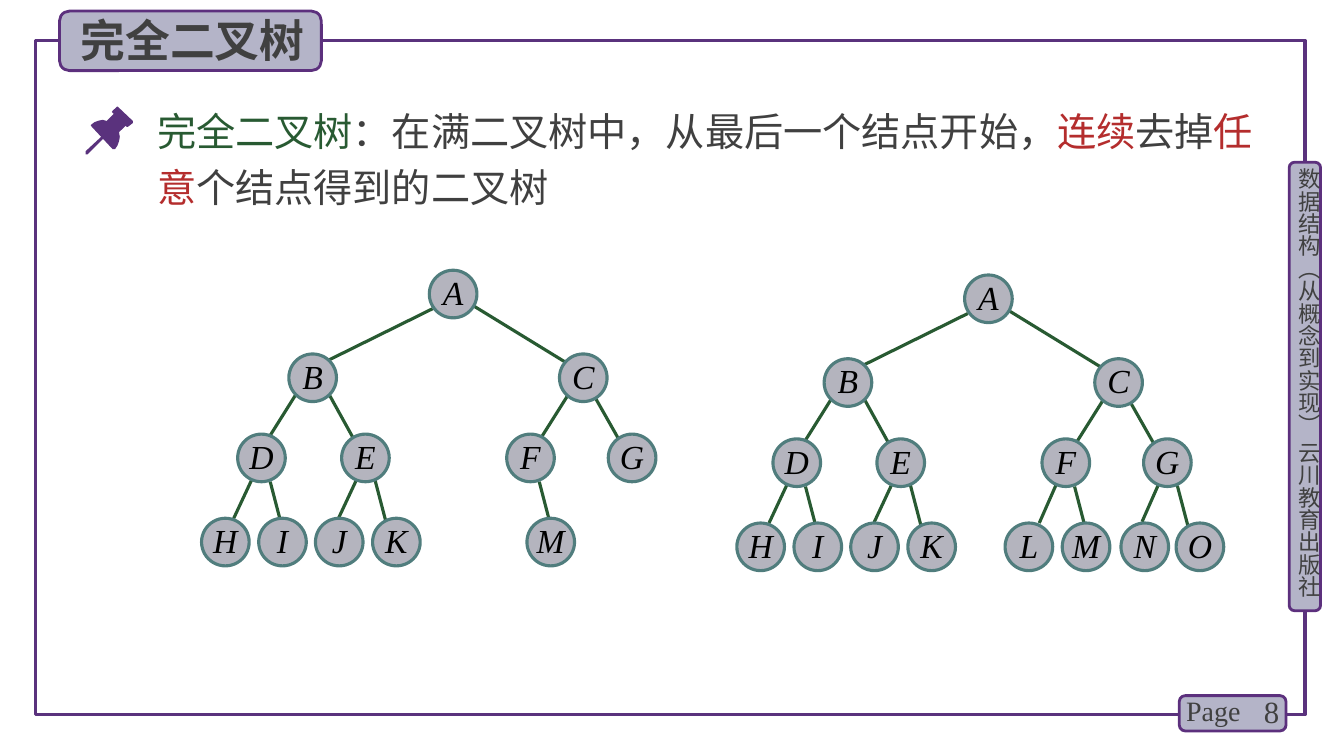
from lxml.etree import SubElement
from pptx import Presentation
from pptx.dml.color import RGBColor
from pptx.enum.shapes import MSO_CONNECTOR, MSO_SHAPE
from pptx.enum.text import MSO_ANCHOR, PP_ALIGN
from pptx.oxml.ns import qn
from pptx.util import Cm, Pt

COLORS = {
    "purple": "5A327D", "border": "5C307D", "label": "B4B4C8", "text": "404040",
    "green": "285A32", "red": "B42D2D", "node": "B4B4BE", "ring": "507D7D",
    "black": "000000",
}
SERIF, SANS = "Times New Roman", "Noto Sans CJK SC"
NODE_SIZE = 1.2

# Centimetres from the top left corner of the root node
NODES = {
    "A": (0, 0), "B": (-3.54, 2.11), "C": (3.28, 2.11),
    "D": (-4.83, 4.13), "E": (-2.21, 4.13), "F": (1.95, 4.13), "G": (4.51, 4.13),
    "H": (-5.74, 6.25), "I": (-4.3, 6.25), "J": (-2.87, 6.25), "K": (-1.43, 6.25),
    "L": (1.02, 6.25), "M": (2.46, 6.25), "N": (3.94, 6.25), "O": (5.33, 6.25),
}
# Each child with the line that reaches it from its parent: x1, y1, x2, y2
EDGES = {
    "B": (0.08, 0.97, -2.69, 2.34), "C": (1.02, 0.84, 3.58, 2.41),
    "D": (-3.25, 2.95, -4.11, 4.32), "E": (-2.57, 3.05, -1.83, 4.39),
    "F": (3.51, 3.12, 2.64, 4.5), "G": (4.19, 3.23, 4.95, 4.57),
    "H": (-4.42, 5.16, -4.93, 6.25), "I": (-4.01, 5.33, -3.71, 6.48),
    "J": (-1.78, 5.16, -2.29, 6.25), "K": (-1.37, 5.28, -1.07, 6.43),
    "L": (2.36, 5.16, 1.88, 6.25), "M": (2.77, 5.33, 3.07, 6.48),
    "N": (4.95, 5.13, 4.47, 6.22), "O": (5.36, 5.31, 5.66, 6.45),
}
# Hundredths of a centimetre on the slide
PIN_HEAD = [
    (335, 305), (297, 269), (295, 269), (284, 279), (282, 282), (284, 284), (287, 287),
    (269, 305), (259, 302), (249, 304), (238, 308), (229, 315), (229, 317), (284, 376),
    (287, 376), (290, 376), (296, 367), (300, 356), (302, 345), (300, 333), (317, 317),
    (320, 320), (322, 320), (335, 310),
]
PIN_NEEDLE = [(218, 389), (216, 389), (216, 381), (257, 343), (262, 343), (262, 348), (221, 389)]


def rgb(name):
    return RGBColor.from_string(COLORS[name])


class Board:
    def __init__(self, s):
        self.s = s

    def shape(self, kind, box, fill, line, width):
        sp = self.s.shapes.add_shape(kind, *map(Cm, box))
        sp.shadow.inherit = False
        if fill:
            sp.fill.solid()
            sp.fill.fore_color.rgb = rgb(fill)
        else:
            sp.fill.background()
        sp.line.color.rgb = rgb(line)
        sp.line.width = Pt(width)
        return sp

    def label(self, box):
        self.shape(MSO_SHAPE.ROUNDED_RECTANGLE, box, "label", "border", 2)

    def font(self, p, size, name, color=None, bold=None, italic=None):
        f = p.font
        f.size, f.name, f.bold, f.italic = Pt(size), name, bold, italic
        if color:
            f.color.rgb = rgb(color)
        SubElement(f._element, qn("a:ea")).set("typeface", SANS)

    def text(self, box, runs, size, name, align=None, bold=None, spacing=None,
             margins=(0.25, 0.13), anchor=MSO_ANCHOR.TOP, vertical=False):
        """Add a one-paragraph text box from (text, colour) runs."""
        tf = self.s.shapes.add_textbox(*map(Cm, box)).text_frame
        tf.word_wrap = True
        tf.vertical_anchor = anchor
        tf.margin_left = tf.margin_right = Cm(margins[0])
        tf.margin_top = tf.margin_bottom = Cm(margins[1])
        if vertical:
            tf._txBody.bodyPr.set("vert", "eaVert")
        p = tf.paragraphs[0]
        p.alignment = align
        if spacing:
            p.line_spacing = Pt(spacing)
        self.font(p, size, name, runs[0][1] if len(runs) == 1 else None, bold)
        for words, color in runs:
            r = p.add_run()
            r.text = words
            if len(runs) > 1:
                r.font.color.rgb = rgb(color)

    def outline(self, points):
        builder = self.s.shapes.build_freeform(*points[0], scale=Cm(0.01))
        builder.add_line_segments(points[1:], close=True)
        sp = builder.convert_to_shape()
        sp.shadow.inherit = False
        sp.fill.solid()
        sp.fill.fore_color.rgb = rgb("purple")
        sp.line.fill.background()

    def edge(self, x1, y1, x2, y2):
        line = self.s.shapes.add_connector(MSO_CONNECTOR.STRAIGHT, *map(Cm, (x1, y1, x2, y2)))
        line.line.color.rgb = rgb("green")
        line.line.width = Pt(2.25)
        SubElement(line._element.spPr, qn("a:effectLst"))

    def node(self, x, y, letter):
        sp = self.shape(MSO_SHAPE.OVAL, (x, y, NODE_SIZE, NODE_SIZE), "node", "ring", 2.25)
        tf = sp.text_frame
        tf.margin_left = tf.margin_right = tf.margin_top = tf.margin_bottom = 0
        tf.vertical_anchor = MSO_ANCHOR.TOP
        p = tf.paragraphs[0]
        p.text = letter
        p.alignment = PP_ALIGN.CENTER
        p.line_spacing = Pt(25)
        self.font(p, 24, SERIF, "black", italic=True)

    def tree(self, x, y, letters):
        for child in letters[1:]:
            x1, y1, x2, y2 = EDGES[child]
            self.edge(x + x1, y + y1, x + x2, y + y2)
        for letter in letters:
            dx, dy = NODES[letter]
            self.node(x + dx, y + dy, letter)


def main():
    prs = Presentation()
    prs.slide_width, prs.slide_height = Cm(33.87), Cm(19.05)
    board = Board(prs.slides.add_slide(prs.slide_layouts[6]))

    board.shape(MSO_SHAPE.RECTANGLE, (0.89, 1.02, 32, 16.99), None, "purple", 2.25)
    board.label((32.49, 4.09, 0.79, 11.3))
    board.text((32.64, 4.24, 0.69, 11.4), [("数据结构（从概念到实现） 云川教育出版社", "text")],
               16, SANS, margins=(0, 0), vertical=True)
    board.label((29.72, 17.53, 2.69, 0.89))
    board.text((30.99, 17.42, 1.5, 1.02), [("8", "text")], 22, SERIF,
               align=PP_ALIGN.RIGHT, anchor=MSO_ANCHOR.MIDDLE)
    board.text((29.64, 17.35, 1.98, 1.12), [("Page", "text")], 20, SERIF)

    board.label((1.5, 0.28, 6.6, 1.5))
    board.text((1.78, 0.18, 6.35, 1.63), [("完全二叉树", "text")], 32, SANS, bold=True)

    board.outline(PIN_HEAD)
    board.outline(PIN_NEEDLE)
    definition = [
        ("完全二叉树", "green"), ("：在满二叉树中，从最后一个结点开始，", "text"),
        ("连续", "red"), ("去掉", "text"), ("任意", "red"), ("个结点得到的二叉树", "text"),
    ]
    board.text((3.96, 2.36, 28.22, 3.1), definition, 28, SERIF, spacing=40, margins=(0, 0.13))

    board.tree(10.82, 6.81, "ABCDEFGHIJKM")
    board.tree(24.31, 6.93, "ABCDEFGHIJKLMNO")
    prs.save("out.pptx")


if __name__ == "__main__":
    main()
